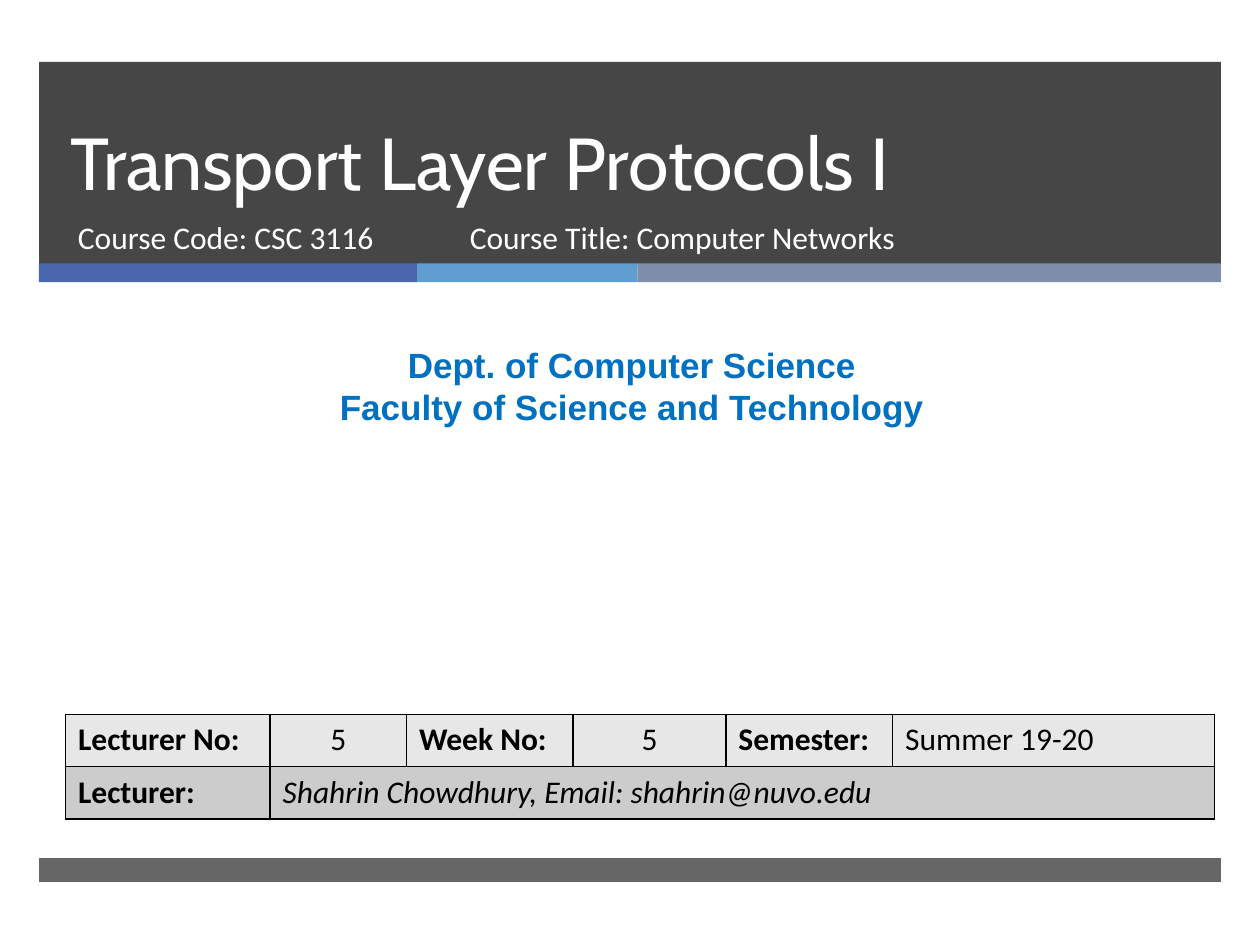
from dataclasses import dataclass

from lxml.etree import SubElement
from pptx import Presentation
from pptx.dml.color import RGBColor
from pptx.enum.shapes import MSO_SHAPE as SHAPE
from pptx.enum.text import MSO_ANCHOR as ANCHOR, PP_ALIGN as ALIGN
from pptx.oxml.ns import qn
from pptx.util import Inches, Pt


@dataclass(frozen=True)
class Theme:
    dark: str = "262626"
    white: str = "FFFFFF"
    black: str = "000000"
    heading: str = "0070C0"
    accents: tuple = ("4A66AC", "629DD1", "7F8FA9")
    rows: tuple = ("E7E7E7", "CCCCCC")
    title_font: str = "Cabin"
    body_font: str = "Calibri"
    heading_font: str = "Arial"
    title_size: int = 42
    title_leading: int = 46
    heading_size: int = 20
    body_size: int = 18


T = Theme()
MARGIN, BAND_W = 0.31, 9.38


def rgb(color):
    return RGBColor.from_string(color)


def write(tf, text, size=T.body_size, font=T.body_font, color=T.white,
          bold=False, italic=False, align=ALIGN.LEFT, leading=None):
    """Fill a text frame, one paragraph for each line of text."""
    tf.word_wrap = True
    for i, line in enumerate(text.split("\n")):
        p = tf.add_paragraph() if i else tf.paragraphs[0]
        p.alignment = align
        if leading:
            p.line_spacing = Pt(leading)
        r = p.add_run()
        r.text = line
        f = r.font
        f.size, f.name, f.bold, f.italic = Pt(size), font, bold, italic
        f.color.rgb = rgb(color)


def add_text(s, box, text, anchor=ANCHOR.TOP, **fmt):
    tf = s.shapes.add_textbox(*map(Inches, box)).text_frame
    tf.vertical_anchor = anchor
    write(tf, text, **fmt)


def add_bar(s, box, color, opacity=100):
    sp = s.shapes.add_shape(SHAPE.RECTANGLE, *map(Inches, box))
    sp.shadow.inherit = False
    sp.line.fill.background()
    sp.fill.solid()
    sp.fill.fore_color.rgb = rgb(color)
    if opacity < 100:
        clr = sp.fill._xPr.find(qn("a:solidFill"))[0]
        SubElement(clr, qn("a:alpha"), val=str(opacity * 1000))


def add_header(s, x, y, w, h):
    add_bar(s, (x, y, w, h), T.dark, opacity=85)
    # Accent strip along the lower edge
    left = x
    for color, width in zip(T.accents, (3, 1.75, w - 4.75)):
        add_bar(s, (left, y + h - 0.01, width, 0.15), color)
        left += width
    # Title and course details
    add_text(s, (x + 0.15, y, 8.54, 1.19), "Transport Layer Protocols I",
             anchor=ANCHOR.BOTTOM, size=T.title_size, font=T.title_font,
             leading=T.title_leading)
    for dx, width, text in ((0.21, 3.05, "Course Code: CSC 3116"),
                            (3.32, 4.55, "Course Title: Computer Networks")):
        add_text(s, (x + dx, y + 1.19, width, 0.53), text)


def add_department(s, *box):
    add_text(s, box, "Dept. of Computer Science\n"
             "Faculty of Science and Technology", size=T.heading_size,
             font=T.heading_font, color=T.heading, bold=True,
             align=ALIGN.CENTER)


def style_cell(cell, fill):
    cell.fill.solid()
    cell.fill.fore_color.rgb = rgb(fill)
    tc_pr = cell._tc.get_or_add_tcPr()
    for i, side in enumerate(("lnL", "lnR", "lnT", "lnB")):
        ln = tc_pr.makeelement(qn(f"a:{side}"), {"w": str(Pt(1))})
        SubElement(SubElement(ln, qn("a:solidFill")), qn("a:srgbClr"),
                   val=T.black)
        tc_pr.insert(i, ln)


def add_lecture_table(s, x, y, w, h):
    shares = (1.62, 1.08, 1.32, 1.21, 1.32, 2.55)
    tbl = s.shapes.add_table(2, len(shares), *map(Inches, (x, y, w, h))).table
    for col, share in zip(tbl.columns, shares):
        col.width = Inches(w * share / sum(shares))
    tbl.cell(1, 1).merge(tbl.cell(1, 5))
    for row, fill in zip(tbl.rows, T.rows):
        for cell in row.cells:
            style_cell(cell, fill)
    # Labels are bold, numbers centred, the lecturer in italics
    texts = (("Lecturer No:", "5", "Week No:", "5", "Semester:",
              "Summer 19-20"),
             ("Lecturer:", "Shahrin Chowdhury, Email: shahrin@nuvo.edu"))
    for r, line in enumerate(texts):
        for c, text in enumerate(line):
            write(tbl.cell(r, c).text_frame, text, color=T.black,
                  bold=text.endswith(":"), italic="@" in text,
                  align=ALIGN.CENTER if text.isdigit() else ALIGN.LEFT)


def main():
    prs = Presentation()
    prs.slide_width, prs.slide_height = Inches(10), Inches(7.5)
    s = prs.slides.add_slide(prs.slide_layouts[6])
    add_header(s, MARGIN, 0.49, BAND_W, 1.61)
    add_department(s, 0.08, 2.68, 9.87, 0.77)
    add_lecture_table(s, 0.52, 5.67, 9.12, 0.83)
    # Footer band
    add_bar(s, (MARGIN, 6.81, BAND_W, 0.19), T.dark, opacity=70)
    prs.save("out.pptx")


if __name__ == "__main__":
    main()
